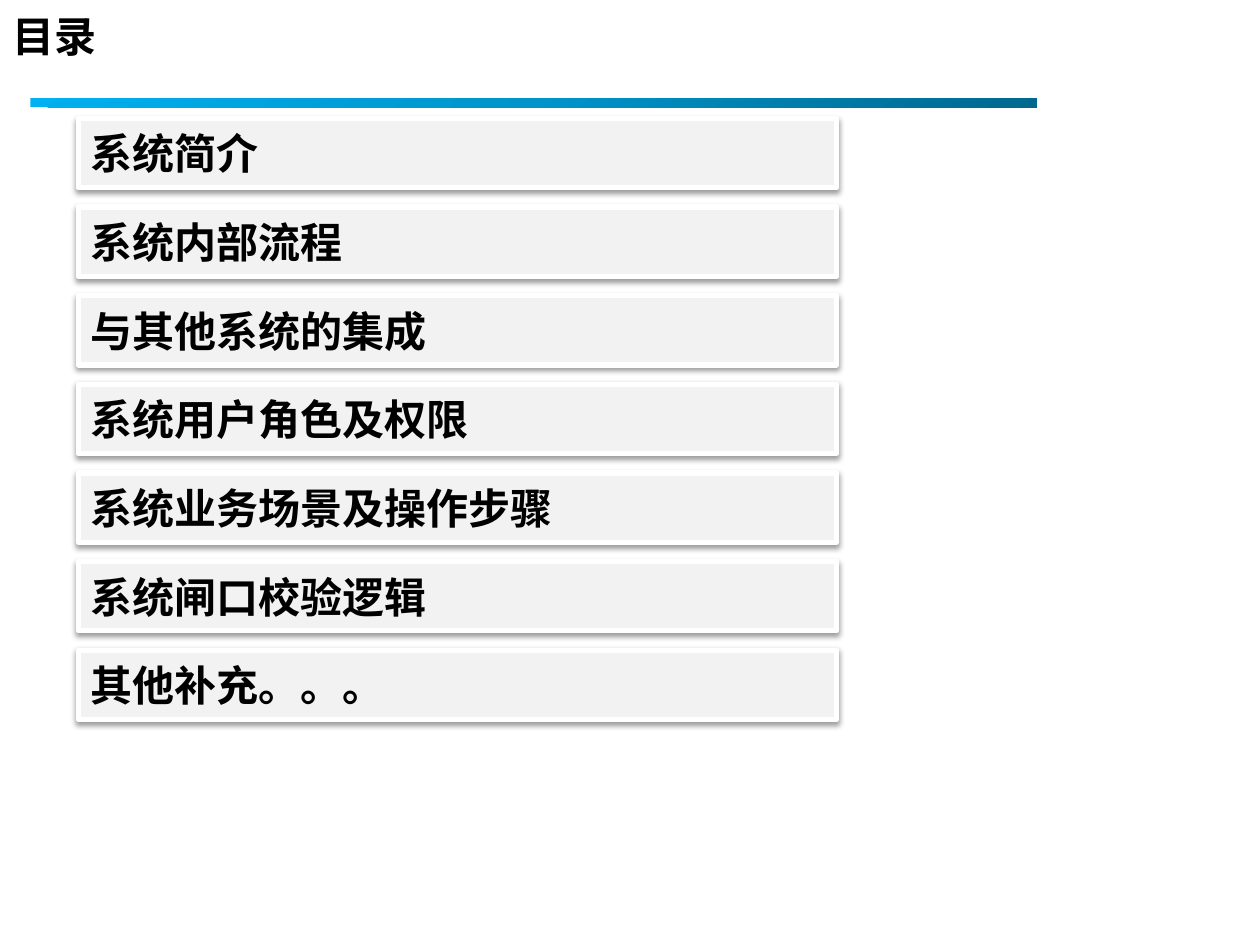
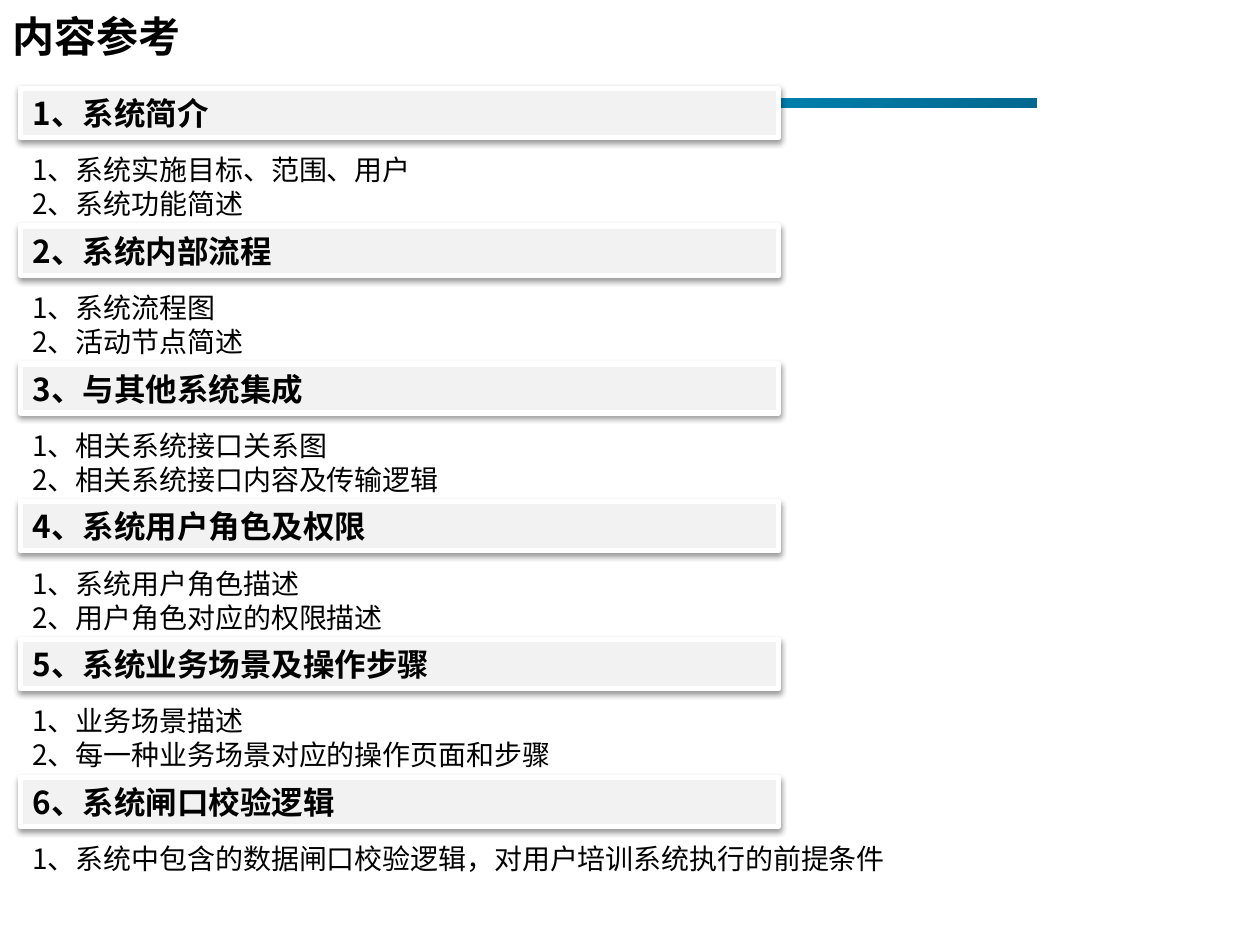
from dataclasses import dataclass

from lxml.etree import SubElement
from pptx import Presentation
from pptx.dml.color import RGBColor
from pptx.enum.shapes import MSO_SHAPE as Shape
from pptx.enum.text import MSO_ANCHOR as Anchor, MSO_AUTO_SIZE as AutoSize, PP_ALIGN as Align
from pptx.oxml import parse_xml
from pptx.oxml.ns import nsdecls, qn
from pptx.util import Inches, Pt


@dataclass(frozen=True)
class Theme:
    """Colours, fonts and type sizes shared by the slides."""
    text: str = "000000"
    panel: str = "F2F2F2"
    edge: str = "FFFFFF"
    rule: tuple = ("00688E", "0094CA", "00B0F0")
    font: str = "Noto Sans CJK SC"
    latin: str = "Arial"
    title_size: int = 24
    agenda_size: int = 24
    heading_size: int = 18
    detail_size: int = 16
    title_leading: float = 31
    agenda_leading: float = 28.8
    detail_leading: float = 19.4


THEME = Theme()

AGENDA = ["系统简介", "系统内部流程", "与其他系统的集成", "系统用户角色及权限",
          "系统业务场景及操作步骤", "系统闸口校验逻辑", "其他补充。。。"]

SECTIONS = [
    ("系统简介", ["系统实施目标、范围、用户", "系统功能简述"]),
    ("系统内部流程", ["系统流程图", "活动节点简述"]),
    ("与其他系统集成", ["相关系统接口关系图", "相关系统接口内容及传输逻辑"]),
    ("系统用户角色及权限", ["系统用户角色描述", "用户角色对应的权限描述"]),
    ("系统业务场景及操作步骤", ["业务场景描述", "每一种业务场景对应的操作页面和步骤"]),
    ("系统闸口校验逻辑", ["系统中包含的数据闸口校验逻辑，对用户培训系统执行的前提条件"]),
]


def numbered(items):
    """Prefix each item with its Chinese-style number."""
    return [f"{number}、{item}" for number, item in enumerate(items, 1)]


def write(shape, lines, size, bold=False, font=THEME.font, leading=None, anchor=Anchor.TOP):
    """Fill a shape with left-aligned paragraphs in one format."""
    frame = shape.text_frame
    frame.word_wrap = True
    frame.vertical_anchor = anchor
    frame.text = "\n".join(lines)
    for paragraph in frame.paragraphs:
        paragraph.alignment = Align.LEFT
        if leading:
            paragraph.line_spacing = Pt(leading)
        for run in paragraph.runs:
            run.font.name = font
            run.font.size = Pt(size)
            run.font.bold = bold
            run.font.color.rgb = RGBColor.from_string(THEME.text)
            SubElement(run.font._element, qn("a:ea"), typeface=THEME.font)


def add_rule(slide, left, top, width, height):
    """Draw the gradient rule under the title."""
    rule = slide.shapes.add_shape(Shape.RECTANGLE, *map(Inches, (left, top, width, height)))
    rule.shadow.inherit = False
    rule.line.fill.background()
    rule.fill.gradient()
    old_fill = rule._element.spPr.find(qn("a:gradFill"))
    stops = "".join(f'<a:gs pos="{position}"><a:srgbClr val="{colour}"/></a:gs>'
                    for position, colour in zip((0, 50000, 100000), THEME.rule))
    radial = parse_xml(f'<a:gradFill {nsdecls("a")} rotWithShape="1"><a:gsLst>{stops}</a:gsLst>'
                       '<a:path path="circle"><a:fillToRect l="100000" t="100000"/></a:path>'
                       '</a:gradFill>')
    old_fill.getparent().replace(old_fill, radial)


def add_panel(slide, left, top, width, height, text, size, leading=None):
    """Draw a raised grey bar holding one bold line."""
    panel = slide.shapes.add_shape(Shape.RECTANGLE, *map(Inches, (left, top, width, height)))
    panel.fill.solid()
    panel.fill.fore_color.rgb = RGBColor.from_string(THEME.panel)
    panel.line.color.rgb = RGBColor.from_string(THEME.edge)
    panel.line.width = Pt(3)
    panel.shadow.inherit = False
    effects = panel._element.spPr.find(qn("a:effectLst"))
    effects.append(parse_xml(
        f'<a:outerShdw {nsdecls("a")} blurRad="40000" dist="20000" dir="5400000" rotWithShape="0">'
        '<a:srgbClr val="000000"><a:alpha val="38000"/></a:srgbClr></a:outerShdw>'))
    write(panel, [text], size, bold=True, leading=leading, anchor=Anchor.MIDDLE)


def add_details(slide, left, top, width, height, lines):
    """Place the detail lines below a section heading."""
    details = slide.shapes.add_textbox(*map(Inches, (left, top, width, height)))
    write(details, lines, THEME.detail_size, leading=THEME.detail_leading)
    details.text_frame.auto_size = AutoSize.SHAPE_TO_FIT_TEXT


def add_titled_slide(deck, text, font=THEME.font):
    """Add a slide with the shared title and rule."""
    slide = deck.slides.add_slide(deck.slide_layouts[5])
    title = slide.shapes.title
    title.left, title.top, title.width, title.height = map(Inches, (0, 0, 2.87, 0.51))
    write(title, [text], THEME.title_size, bold=True, font=font, leading=THEME.title_leading)
    title.text_frame.auto_size = AutoSize.SHAPE_TO_FIT_TEXT
    add_rule(slide, 0.24, 0.78, 7.99, 0.07)
    return slide


def add_agenda(slide, left, top, width, height):
    """Stack the agenda bars evenly in the given box."""
    bar_height = 0.55
    pitch = (height - bar_height) / (len(AGENDA) - 1)
    for row, topic in enumerate(AGENDA):
        add_panel(slide, left, top + row * pitch, width, bar_height, topic,
                  THEME.agenda_size, THEME.agenda_leading)


def add_sections(slide, left, top, width, height):
    """Stack headings with their details evenly in the given box."""
    heading_width, heading_height, detail_offset = 6.02, 0.39, 0.46
    line_height, padding = 0.27, 0.1
    last_height = detail_offset + line_height + padding
    pitch = (height - last_height) / (len(SECTIONS) - 1)
    headings = numbered(heading for heading, _ in SECTIONS)
    for row, (heading, (_, details)) in enumerate(zip(headings, SECTIONS)):
        section_top = top + row * pitch
        add_details(slide, left, section_top + detail_offset, width,
                    padding + line_height * len(details), numbered(details))
        add_panel(slide, left, section_top, heading_width, heading_height, heading,
                  THEME.heading_size)


def main():
    """Build and save the two slides."""
    deck = Presentation()
    deck.slide_width, deck.slide_height = Inches(10), Inches(7.5)
    add_agenda(add_titled_slide(deck, "目录"), 0.62, 0.94, 6.02, 4.77)
    add_sections(add_titled_slide(deck, "内容参考", font=THEME.latin), 0.16, 0.7, 8.2, 6.3)
    deck.save("out.pptx")


if __name__ == "__main__":
    main()
